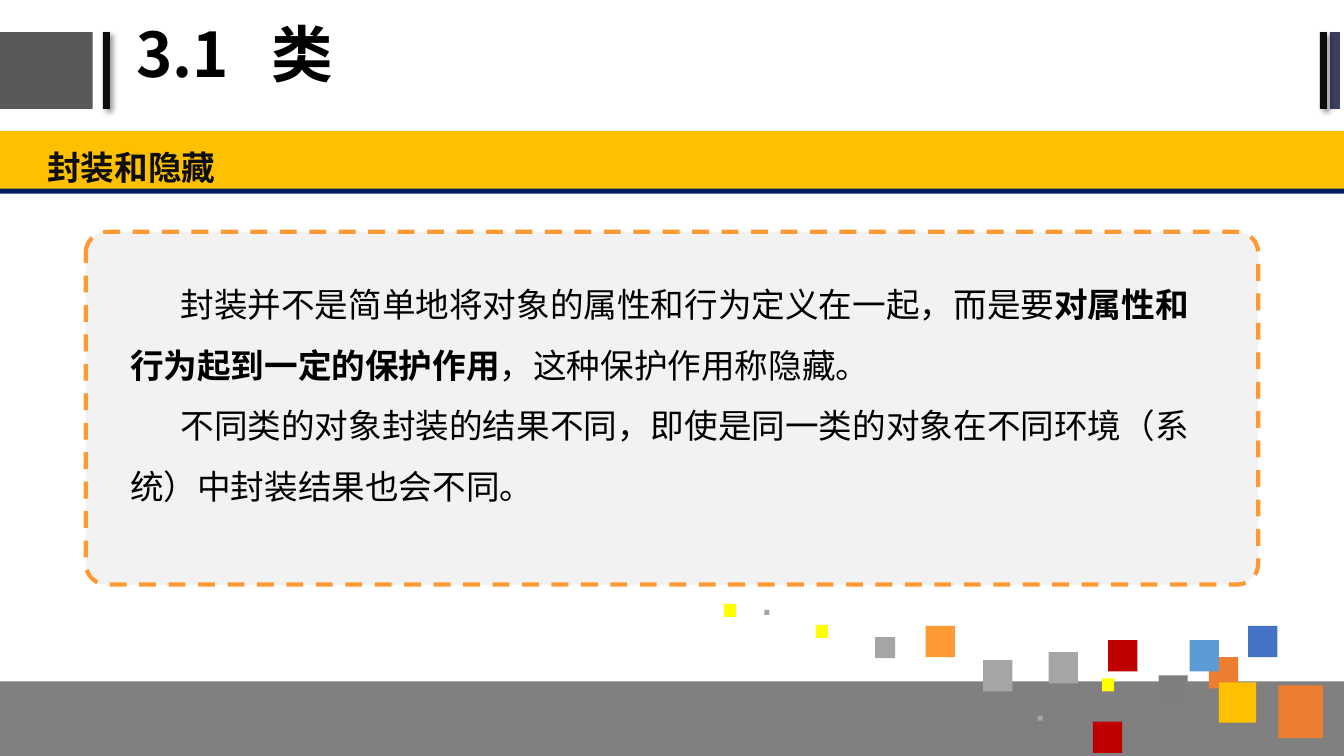
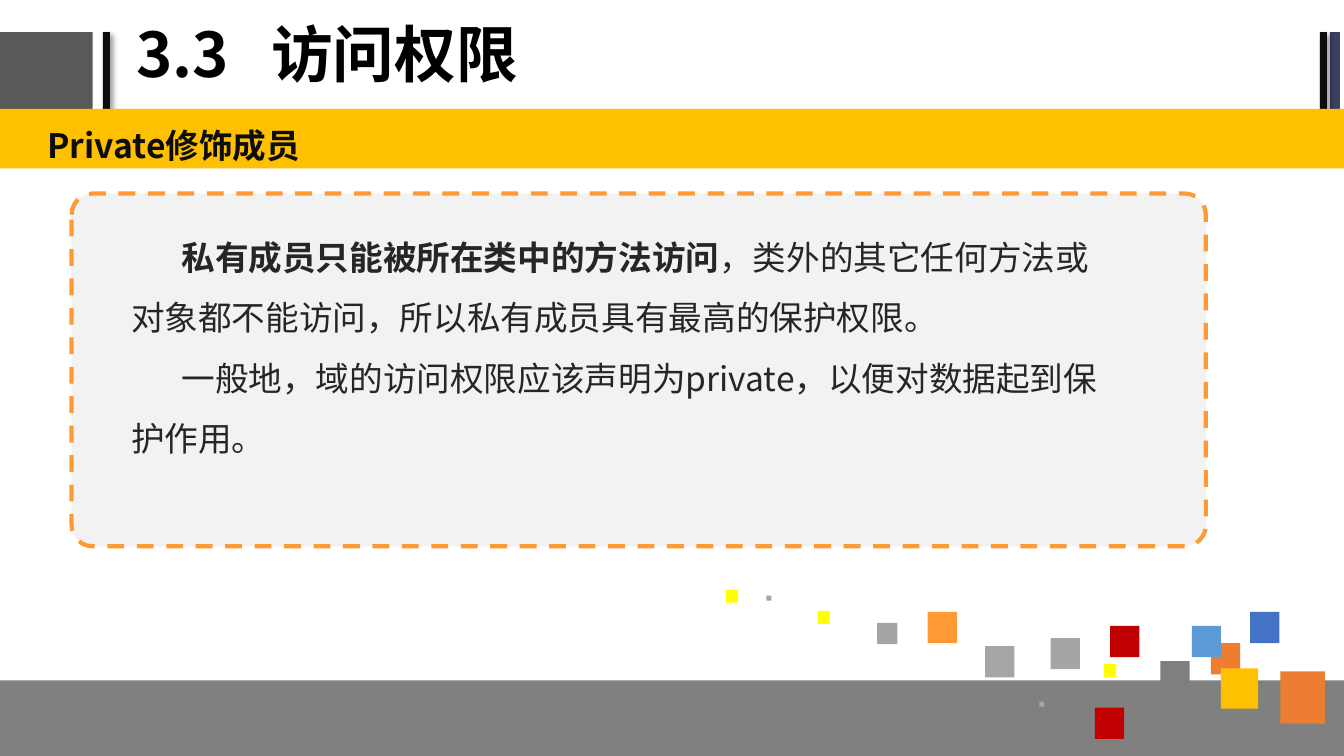
import pptx
import pptx.util
import pptx.dml.color
import pptx.enum.dml
import pptx.enum.shapes
import pptx.enum.text
import pptx.oxml.ns
from lxml import etree

Inches = pptx.util.Inches
Pt = pptx.util.Pt
SHAPE = pptx.enum.shapes.MSO_SHAPE
ALIGN = pptx.enum.text.PP_ALIGN
ANCHOR = pptx.enum.text.MSO_ANCHOR
qn = pptx.oxml.ns.qn

FONT = "Noto Sans CJK SC"
WIDE, HIGH = 13.33, 7.5
COLORS = {
    "black": "000000", "ink": "0D0D0D", "text": "262626", "dark": "595959",
    "slate": "3B3F60", "navy": "002060", "foot": "808080", "panel": "F2F2F2",
    "gray": "7F7F7F", "silver": "A5A5A5", "ash": "A6A6A6", "gold": "FFC000",
    "amber": "FF9933", "orange": "ED7D31", "red": "C00000", "yellow": "FFFF00",
    "sky": "5B9BD5", "blue": "4472C4",
}
SIZES = {
    "dot": (0.05, 0.05), "tiny": (0.12, 0.13), "small": (0.2, 0.21),
    "plain": (0.29, 0.31), "big": (0.37, 0.4), "huge": (0.44, 0.52),
}
BLOCKS = [
    (12.68, 6.8, "huge", "orange"), (11.99, 6.52, "plain", "orange"),
    (12.09, 6.77, "big", "gold"), (11.8, 6.35, "plain", "sky"),
    (10.29, 7.1, "dot", "silver"), (12.38, 6.21, "plain", "blue"),
    (10.93, 6.73, "tiny", "yellow"), (10.4, 6.47, "plain", "silver"),
    (10.99, 6.35, "plain", "red"), (11.49, 6.7, "plain", "gray"),
    (10.84, 7.16, "plain", "red"), (7.58, 6.05, "dot", "silver"),
    (8.09, 6.2, "tiny", "yellow"), (8.68, 6.32, "small", "silver"),
    (9.18, 6.21, "plain", "amber"), (9.75, 6.55, "plain", "ash"),
    (7.18, 5.99, "tiny", "yellow"),
]
BARS = [
    (-0.02, 0.94, "dark", False), (1.02, 0.07, "ink", True),
    (13.19, 0.1, "slate", False), (13.09, 0.07, "ink", True),
]


def shade(name):
    return pptx.dml.color.RGBColor.from_string(COLORS[name])


def write(para, text, size=24, color="black", bold=False):
    run = para.add_run()
    run.text = text
    font = run.font
    font.size, font.bold, font.name = Pt(size), bold, FONT
    font.color.rgb = shade(color)
    latin = font._element.find(qn("a:latin"))
    east = etree.Element(qn("a:ea"), typeface=FONT)
    latin.addnext(east)


class Deck:
    def __init__(self):
        self.file = pptx.Presentation()
        self.file.slide_width = Inches(WIDE)
        self.file.slide_height = Inches(HIGH)
        self.slide = None

    def start(self, number, name):
        self.slide = self.file.slides.add_slide(self.file.slide_layouts[5])
        for left, width, color, cast in BARS:
            bar = self.block(left, 0.32, width, 0.76, color)
            if cast:
                self.shadow(bar)
        self.title(number, name)

    def title(self, number, name):
        head = self.slide.shapes.title
        head.left, head.top = Inches(1.25), Inches(0.02)
        head.width, head.height = Inches(8.47), Inches(1.1)
        frame = head.text_frame
        frame.vertical_anchor = ANCHOR.MIDDLE
        frame.auto_size = pptx.enum.text.MSO_AUTO_SIZE.NONE
        para = frame.paragraphs[0]
        para.alignment, para.line_spacing = ALIGN.LEFT, 0.9
        tabs = etree.SubElement(para._p.get_or_add_pPr(), qn("a:tabLst"))
        etree.SubElement(tabs, qn("a:tab"), pos=str(Inches(1.34)), algn="l")
        write(para, f"{number}\t{name}", size=44, bold=True)

    def block(self, left, top, width, height, color, kind=SHAPE.RECTANGLE):
        shape = self.slide.shapes.add_shape(
            kind, Inches(left), Inches(top), Inches(width), Inches(height))
        shape.shadow.inherit = False
        shape.fill.solid()
        shape.fill.fore_color.rgb = shade(color)
        shape.line.fill.background()
        return shape

    def shadow(self, shape):
        list_ = shape._element.spPr.find(qn("a:effectLst"))
        cast = etree.SubElement(
            list_, qn("a:outerShdw"), blurRad=str(Pt(4)), dist=str(Pt(3)),
            dir=str(45 * 60000), algn="tl", rotWithShape="0")
        tint = etree.SubElement(cast, qn("a:srgbClr"), val=COLORS["black"])
        etree.SubElement(tint, qn("a:alpha"), val="40000")

    def text(self, left, top, width, height, paras, color,
             space=1.5, indent=0.5):
        box = self.slide.shapes.add_textbox(
            Inches(left), Inches(top), Inches(width), Inches(height))
        frame = box.text_frame
        frame.word_wrap = True
        frame.margin_left = frame.margin_right = Inches(0.13)
        frame.margin_top = frame.margin_bottom = Inches(0.07)
        for i, runs in enumerate(paras):
            para = frame.add_paragraph() if i else frame.paragraphs[0]
            para.line_spacing = space
            para._p.get_or_add_pPr().set("indent", str(Inches(indent)))
            for words, bold in runs:
                write(para, words, color=color, bold=bold)

    def band(self, top, label):
        self.block(0, top, WIDE, 0.59, "gold")
        self.text(0.34, top + 0.01, 12.99, 0.58, [[(label, True)]], "ink",
                  space=1.2, indent=0)

    def panel(self, left, top, width):
        shape = self.block(left, top, width, 3.5, "panel",
                           SHAPE.ROUNDED_RECTANGLE)
        shape.adjustments[0] = 0.06
        shape.line.color.rgb = shade("amber")
        shape.line.width = Pt(3)
        shape.line.dash_style = pptx.enum.dml.MSO_LINE.DASH

    def footer(self, top, right=0, down=0):
        self.block(0, top, WIDE, 0.76, "foot")
        for left, high, size, color in BLOCKS:
            self.block(left + right, high + down, *SIZES[size], color)


def main():
    deck = Deck()

    deck.start("3.1", "类")
    deck.band(1.3, "封装和隐藏")
    deck.footer(6.76)
    deck.block(0, 1.87, WIDE, 0.05, "navy")
    deck.panel(0.85, 2.3, 11.63)
    deck.text(1.16, 2.55, 11.07, 2.89, [
        [("封装并不是简单地将对象的属性和行为定义在一起，而是要", False),
         ("对属性和行为起到一定的保护作用", True),
         ("，这种保护作用称隐藏。", False)],
        [("不同类的对象封装的结果不同，即使是同一类的对象在不同环境（系统）"
          "中封装结果也会不同。", False)],
    ], "black")

    deck.start("3.3", "访问权限")
    deck.band(1.08, "Private修饰成员")
    deck.panel(0.71, 1.92, 11.25)
    deck.text(1.17, 2.08, 10.09, 2.97, [
        [("私有成员只能被所在类中的方法访问", True),
         ("，类外的其它任何方法或对象都不能访问，所以私有成员具有最高的"
          "保护权限。", False)],
        [("一般地，域的访问权限应该声明为private，以便对数据起到保护作用。",
          False)],
    ], "text")
    deck.footer(6.75, right=0.02, down=-0.14)

    deck.file.save("out.pptx")


if __name__ == "__main__":
    main()
